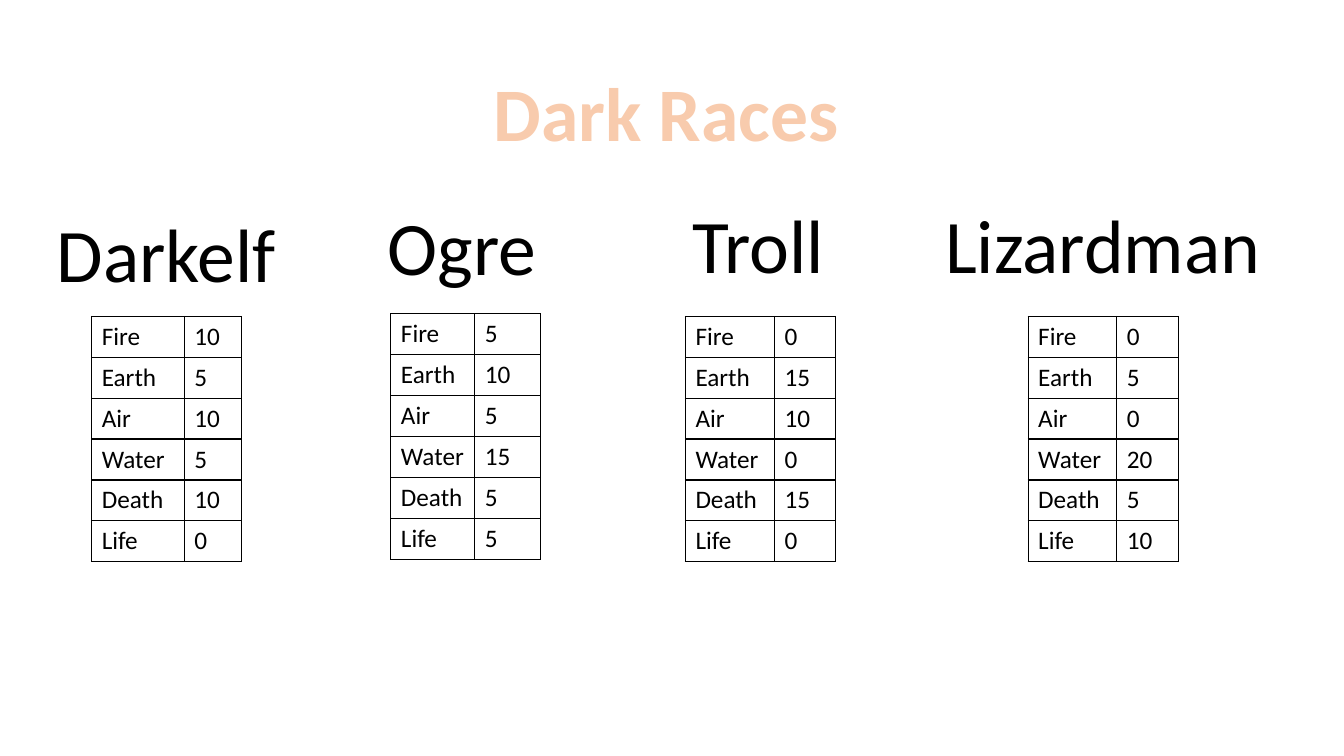
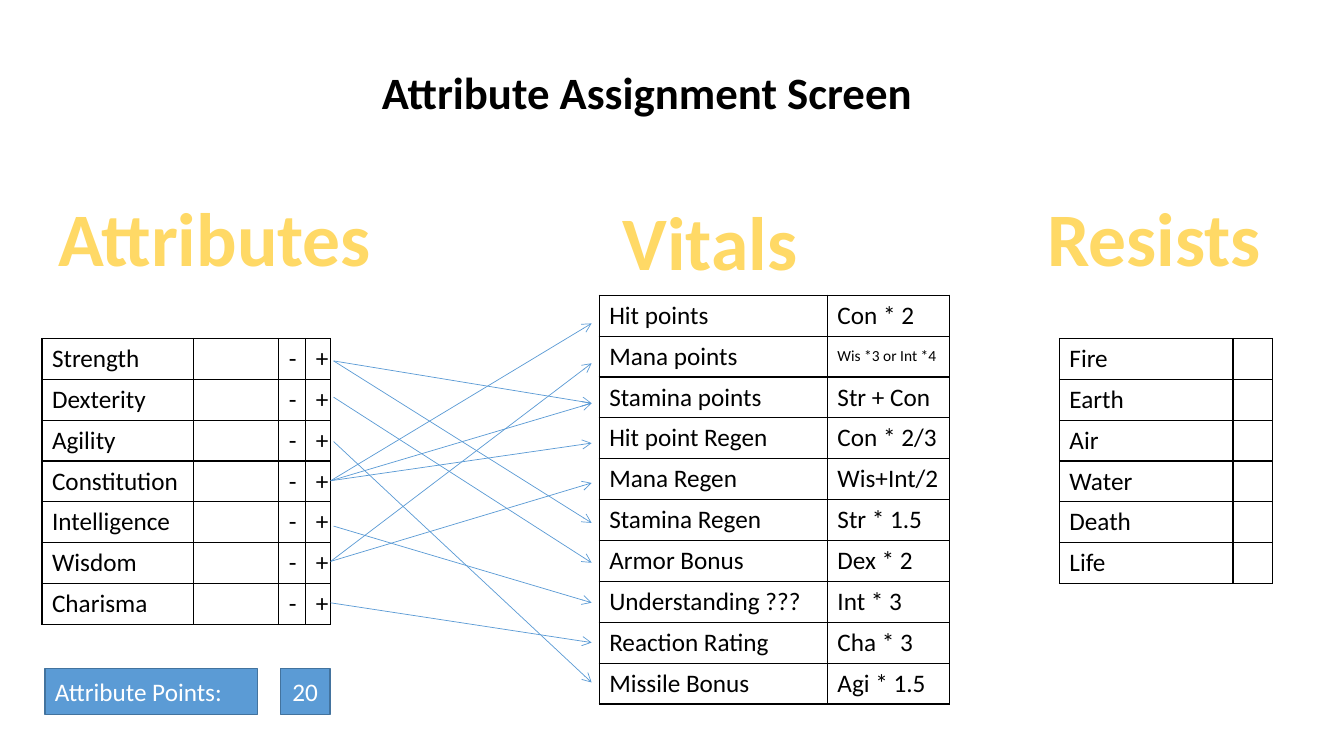
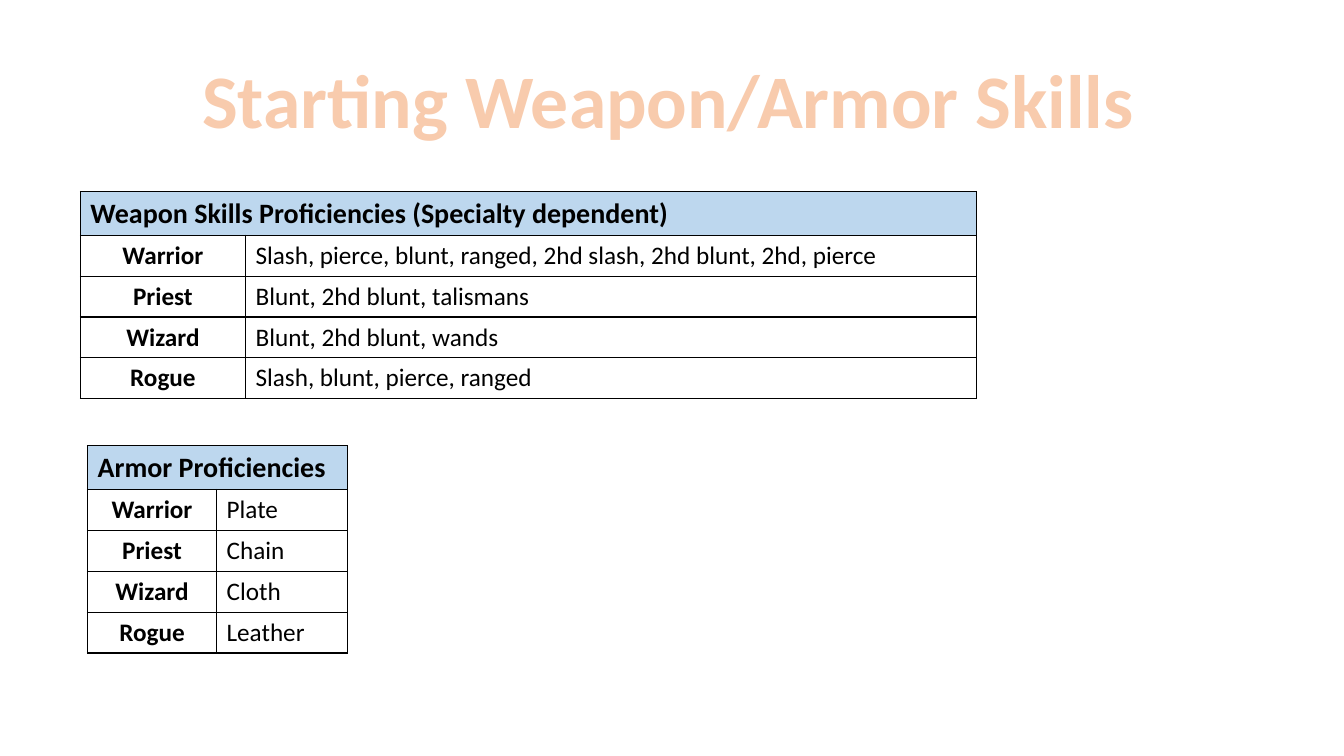
from dataclasses import dataclass
from typing import Any, NamedTuple, Optional

import lxml.etree
import pptx
import pptx.dml.color
import pptx.enum.shapes
import pptx.enum.text
import pptx.oxml.ns
import pptx.util

Pt = pptx.util.Pt
ALIGN = pptx.enum.text.PP_ALIGN
ANCHOR = pptx.enum.text.MSO_ANCHOR

FONT = "Calibri"
COLORS = {
    "text": "000000",
    "title": "F8CBAD",
    "section": "FFD966",
    "header": "BDD7EE",
    "accent": "5B9BD5",
    "accent_edge": "43739E",
    "inverse": "FFFFFF",
}
BODY_SIZE = 18
HEADER_SIZE = 20
HEADING_SIZE = 54
HEADING_HEIGHT = 72.7
ROW_HEIGHT = 29.2
HEADER_HEIGHT = 31.2
ELEMENTS = ("Fire", "Earth", "Air", "Water", "Death", "Life")


class Box(NamedTuple):
    left: float
    top: float
    width: float
    height: float = HEADING_HEIGHT

    def points(self) -> tuple[pptx.util.Length, ...]:
        return tuple(Pt(length) for length in self)


class Column(NamedTuple):
    width: float
    align: Any = ALIGN.LEFT
    bold: bool = False


@dataclass(frozen=True)
class Grid:
    left: float
    top: float
    columns: tuple[Column, ...]
    rows: tuple[tuple[str, ...], ...]
    header: Optional[str] = None
    anchor: Any = ANCHOR.TOP


@dataclass(frozen=True)
class Race:
    name: str
    heading: Box
    left: float
    top: float
    widths: tuple[float, float]
    resists: tuple[int, ...]


class Attribute(NamedTuple):
    name: str
    exit_x: float
    exit_y: float
    vitals: tuple[str, ...]


RACES = (
    Race("Darkelf", Box(32.4, 144, 172.8), 65.5, 226, (66.2, 41), (10, 5, 10, 5, 10, 0)),
    Race("Ogre", Box(269.3, 139, 121.7), 279.2, 224.2, (60, 47), (5, 10, 5, 15, 5, 5)),
    Race("Troll", Box(486.7, 137.5, 109.4), 489.6, 226, (63.6, 43.5), (0, 15, 10, 0, 15, 0)),
    Race("Lizardman", Box(666.7, 137.5, 241.9), 734.4, 226, (63.4, 43.8), (0, 5, 0, 20, 5, 10)),
)

ATTRIBUTES = (
    Attribute("Strength", 238.3, 257.8, ("Stamina points", "Stamina Regen")),
    Attribute("Dexterity", 238.3, 283.7, ("Armor Bonus",)),
    Attribute("Agility", 238.3, 315.4, ("Missile Bonus",)),
    Attribute("Constitution", 236.2, 343.4, ("Hit points", "Stamina points", "Hit point Regen")),
    Attribute("Intelligence", 238.3, 375.8, ("Understanding ???",)),
    Attribute("Wisdom", 236.2, 401, ("Mana points", "Mana Regen")),
    Attribute("Charisma", 236.2, 430.6, ("Reaction Rating",)),
)

VITALS = {
    "Hit points": "Con * 2",
    "Mana points": "Wis *3 or Int *4",
    "Stamina points": "Str + Con",
    "Hit point Regen": "Con * 2/3",
    "Mana Regen": "Wis+Int/2",
    "Stamina Regen": "Str * 1.5",
    "Armor Bonus": "Dex * 2",
    "Understanding ???": "Int * 3",
    "Reaction Rating": "Cha * 3",
    "Missile Bonus": "Agi * 1.5",
}
SMALL_SIZES = {"Wis *3 or Int *4": 11}
VITAL_ENTRY_X = 422.6
VITAL_ENTRY_TOP = 231
VITAL_ENTRY_STEP = 28.5

WEAPONS = (
    ("Warrior", "Slash, pierce, blunt, ranged, 2hd slash, 2hd blunt, 2hd, pierce"),
    ("Priest", "Blunt, 2hd blunt, talismans"),
    ("Wizard", "Blunt, 2hd blunt, wands"),
    ("Rogue", "Slash, blunt, pierce, ranged"),
)
ARMOR = (
    ("Warrior", "Plate"),
    ("Priest", "Chain"),
    ("Wizard", "Cloth"),
    ("Rogue", "Leather"),
)


def rgb(color: str) -> pptx.dml.color.RGBColor:
    return pptx.dml.color.RGBColor.from_string(COLORS[color])


def add_child(parent: Any, tag: str, **attributes: str) -> Any:
    return lxml.etree.SubElement(parent, pptx.oxml.ns.qn(tag), attributes)


def write(frame: Any, text: str, size: float, color: str = "text",
          bold: bool = False, align: Any = ALIGN.LEFT) -> None:
    paragraph = frame.paragraphs[0]
    paragraph.alignment = align
    font = paragraph.font
    font.name, font.size, font.bold = FONT, Pt(size), bold
    font.color.rgb = rgb(color)
    if text:
        paragraph.add_run().text = text


def add_heading(slide: Any, text: str, box: Box, color: str = "text", bold: bool = False,
                size: float = HEADING_SIZE, align: Any = ALIGN.CENTER) -> None:
    frame = slide.shapes.add_textbox(*box.points()).text_frame
    frame.word_wrap = False
    frame.auto_size = pptx.enum.text.MSO_AUTO_SIZE.SHAPE_TO_FIT_TEXT
    write(frame, text, size, color, bold, align)


def add_borders(cell: Any) -> None:
    properties = cell._tc.get_or_add_tcPr()
    for position, side in enumerate(("a:lnL", "a:lnR", "a:lnT", "a:lnB")):
        border = add_child(properties, side, w=str(Pt(1)))
        add_child(add_child(border, "a:solidFill"), "a:srgbClr", val=COLORS["text"])
        properties.insert(position, border)


def add_grid(slide: Any, grid: Grid) -> None:
    heights = [ROW_HEIGHT] * len(grid.rows)
    if grid.header:
        heights.insert(0, HEADER_HEIGHT)
    box = Box(grid.left, grid.top, sum(column.width for column in grid.columns), sum(heights))
    table = slide.shapes.add_table(len(heights), len(grid.columns), *box.points()).table
    table.first_row = table.horz_banding = False
    for table_column, column in zip(table.columns, grid.columns):
        table_column.width = Pt(column.width)
    for table_row, height in zip(table.rows, heights):
        table_row.height = Pt(height)
    for cell in table.iter_cells():
        cell.fill.background()
        cell.vertical_anchor = grid.anchor
        add_borders(cell)
    if grid.header:
        title = table.cell(0, 0)
        title.merge(table.cell(0, len(grid.columns) - 1))
        title.fill.solid()
        title.fill.fore_color.rgb = rgb("header")
        write(title.text_frame, grid.header, HEADER_SIZE, bold=True)
    first_row = len(heights) - len(grid.rows)
    for row, texts in enumerate(grid.rows, first_row):
        for index, (column, text) in enumerate(zip(grid.columns, texts)):
            write(table.cell(row, index).text_frame, text, SMALL_SIZES.get(text, BODY_SIZE),
                  bold=column.bold, align=column.align)


def add_badge(slide: Any, text: str, box: Box, align: Any) -> None:
    badge = slide.shapes.add_shape(pptx.enum.shapes.MSO_SHAPE.RECTANGLE, *box.points())
    badge.shadow.inherit = False
    badge.fill.solid()
    badge.fill.fore_color.rgb = rgb("accent")
    badge.line.color.rgb = rgb("accent_edge")
    badge.line.width = Pt(1)
    badge.text_frame.vertical_anchor = ANCHOR.MIDDLE
    write(badge.text_frame, text, BODY_SIZE, "inverse", align=align)


def add_arrow(slide: Any, start_x: float, start_y: float, end_x: float, end_y: float) -> None:
    arrow = slide.shapes.add_connector(
        pptx.enum.shapes.MSO_CONNECTOR.STRAIGHT, Pt(start_x), Pt(start_y), Pt(end_x), Pt(end_y))
    arrow.line.color.rgb = rgb("accent")
    arrow.line.width = Pt(0.5)
    add_child(arrow.line._get_or_add_ln(), "a:tailEnd", type="arrow")
    add_child(arrow._element.spPr, "a:effectLst")


def build_races(slide: Any) -> None:
    add_heading(slide, "Dark Races", Box(344.2, 43.2, 263.5), "title", bold=True)
    for race in RACES:
        add_heading(slide, race.name, race.heading)
        rows = tuple((element, str(value)) for element, value in zip(ELEMENTS, race.resists))
        add_grid(slide, Grid(race.left, race.top, tuple(map(Column, race.widths)), rows))


def build_attributes(slide: Any) -> None:
    add_heading(slide, "Attribute Assignment Screen", Box(265.7, 42.5, 419, 46),
                bold=True, size=32, align=ALIGN.LEFT)
    for name, box in (
        ("Attributes", Box(32.4, 132.5, 241.9)),
        ("Vitals", Box(437, 136, 140.4)),
        ("Resists", Box(740.2, 132.5, 168.5)),
    ):
        add_heading(slide, name, box, "section", bold=True)

    add_grid(slide, Grid(
        30, 241.7,
        (Column(108.3), Column(60.9), Column(19.2, ALIGN.CENTER), Column(17.8, ALIGN.CENTER)),
        tuple((attribute.name, "", "-", "+") for attribute in ATTRIBUTES)))
    add_grid(slide, Grid(428, 210.9, (Column(163), Column(87)), tuple(VITALS.items()),
                         anchor=ANCHOR.MIDDLE))
    add_grid(slide, Grid(756.7, 241.7, (Column(124), Column(28.3)),
                         tuple((element, "") for element in ELEMENTS)))

    add_badge(slide, "Attribute Points:", Box(32.2, 477.4, 151.6, 33), ALIGN.LEFT)
    add_badge(slide, "20", Box(200.2, 477.4, 35.6, 33), ALIGN.CENTER)

    vital_names = list(VITALS)
    for attribute in ATTRIBUTES:
        for vital in attribute.vitals:
            entry_y = VITAL_ENTRY_TOP + VITAL_ENTRY_STEP * vital_names.index(vital)
            add_arrow(slide, attribute.exit_x, attribute.exit_y, VITAL_ENTRY_X, entry_y)


def build_skills(slide: Any) -> None:
    add_heading(slide, "Starting Weapon/Armor Skills", Box(133.9, 34, 686.9), "title", bold=True)
    add_grid(slide, Grid(57.4, 136.8, (Column(118, ALIGN.CENTER, True), Column(522)), WEAPONS,
                         "Weapon Skills Proficiencies (Specialty dependent)"))
    add_grid(slide, Grid(62.5, 318.4, (Column(92.2, ALIGN.CENTER, True), Column(93.8)), ARMOR,
                         "Armor Proficiencies"))


def main() -> None:
    deck = pptx.Presentation()
    deck.slide_width, deck.slide_height = Pt(960), Pt(540)
    blank = deck.slide_layouts[6]
    for build in (build_races, build_attributes, build_skills):
        build(deck.slides.add_slide(blank))
    deck.save("out.pptx")


if __name__ == "__main__":
    main()
